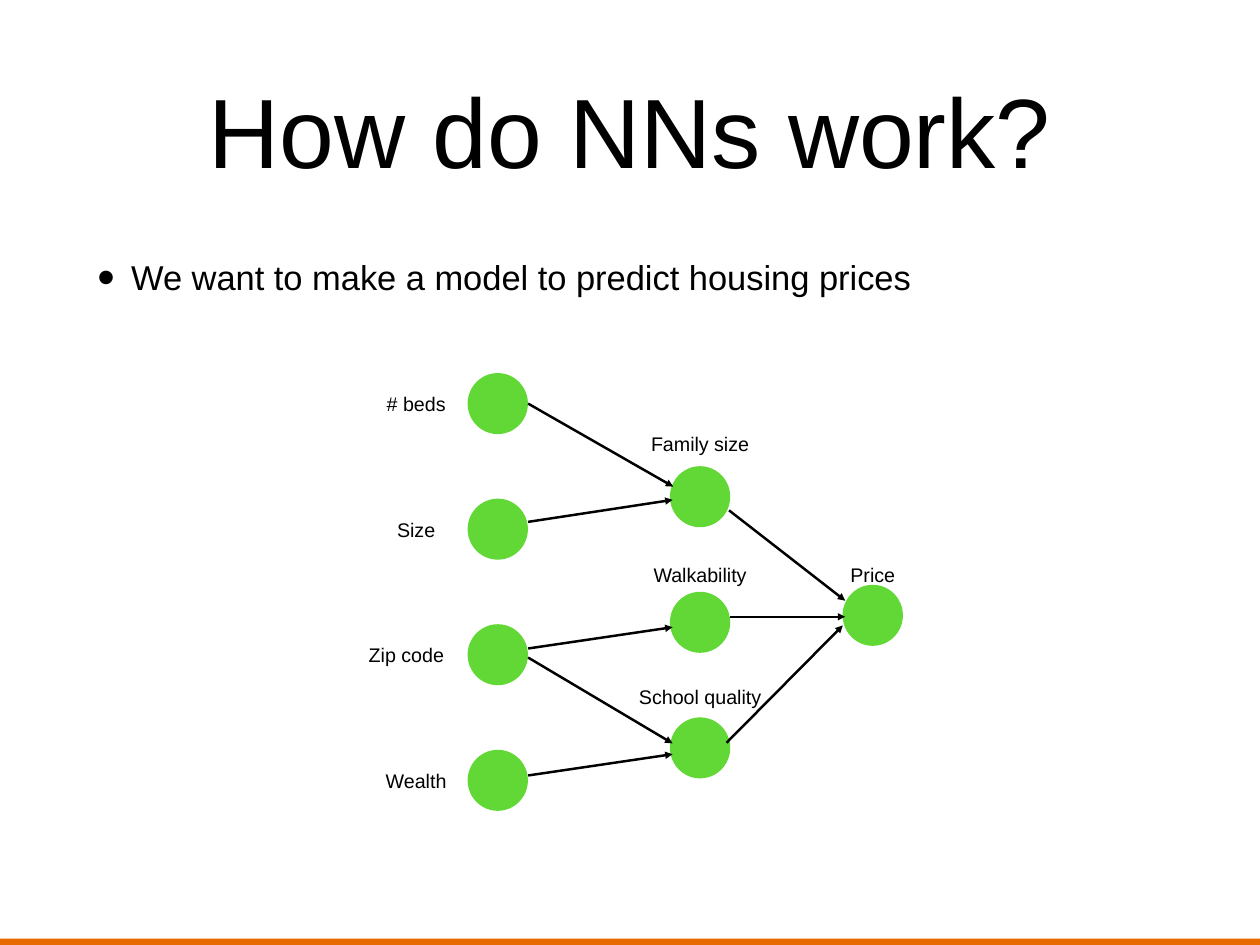
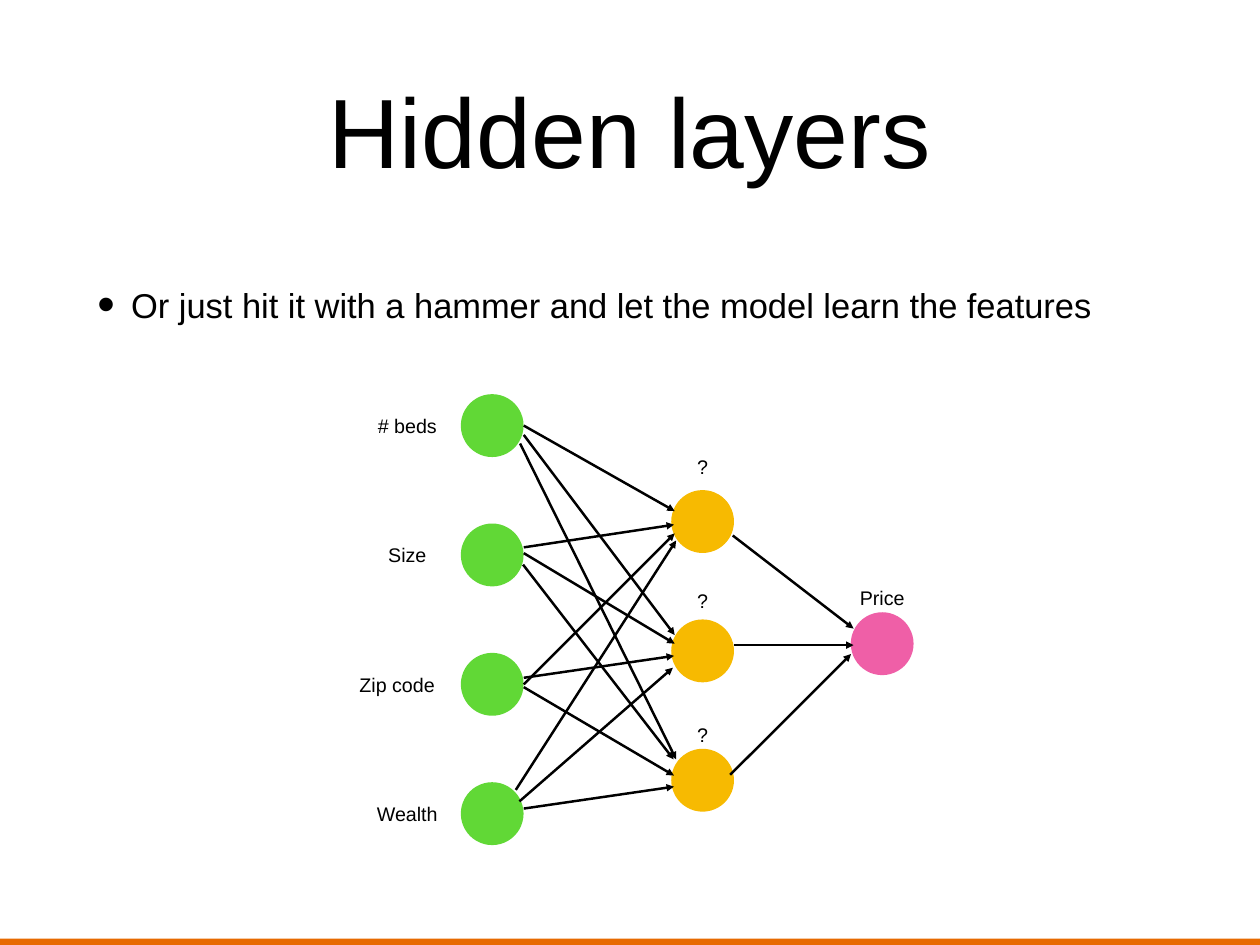
from dataclasses import dataclass
from typing import NamedTuple

from lxml import etree
from pptx import Presentation
from pptx.dml.color import RGBColor
from pptx.enum.shapes import MSO_CONNECTOR, MSO_SHAPE
from pptx.enum.text import MSO_ANCHOR, MSO_AUTO_SIZE, PP_ALIGN
from pptx.oxml.ns import qn
from pptx.util import Cm, Pt

RECT, OVAL = MSO_SHAPE.RECTANGLE, MSO_SHAPE.OVAL
STRAIGHT = MSO_CONNECTOR.STRAIGHT
TOP, MIDDLE = MSO_ANCHOR.TOP, MSO_ANCHOR.MIDDLE
LEFT, CENTER = PP_ALIGN.LEFT, PP_ALIGN.CENTER
NO_FIT = MSO_AUTO_SIZE.NONE


@dataclass(frozen=True)
class Theme:
    font: str = "Arial"
    black: RGBColor = RGBColor(0x00, 0x00, 0x00)
    band: RGBColor = RGBColor(0xE7, 0x6A, 0x01)
    green: RGBColor = RGBColor(0x61, 0xD8, 0x36)
    amber: RGBColor = RGBColor(0xF7, 0xBA, 0x01)
    pink: RGBColor = RGBColor(0xEF, 0x5F, 0xA7)
    title_size: int = 80
    body_size: int = 28
    label_size: int = 16
    line_width: int = 2


THEME = Theme()

# All lengths below are in centimetres.
SLIDE_W, SLIDE_H = 36.12, 27.09
BAND_H = 0.18
MARGIN, CONTENT_W = 2.64, 30.84
TITLE_TOP, TITLE_H = 0.71, 5.99
BODY_TOP = 7.19
INSET = 0.15
BULLET_INDENT = 0.97
BULLET_PERCENT = 145

NODE_W, NODE_H = 1.73, 1.75
LABEL_H = 1.07
ROW_PITCH = 3.6
HIDDEN_X, HIDDEN_Y = 5.8, 2.67
OUTPUT_X, OUTPUT_Y = 10.75, 6.07


class Label(NamedTuple):
    """Text beside a node, centred at an offset from the node's centre."""
    text: str
    width: float
    dx: float
    dy: float


class Arrow(NamedTuple):
    """Arrow between two nodes; start and end are offsets from their centres."""
    source: str
    target: str
    start: tuple[float, float]
    end: tuple[float, float]


@dataclass(frozen=True)
class Diagram:
    left: float
    top: float
    scale_x: float
    scale_y: float
    hidden_color: RGBColor
    output_color: RGBColor
    labels: dict[str, Label]
    arrows: list[Arrow]

    def place(self, x: float, y: float) -> tuple[float, float]:
        return self.left + x * self.scale_x, self.top + y * self.scale_y


@dataclass(frozen=True)
class SlideContent:
    title: str
    bullet: str
    body_height: float
    body_anchor: MSO_ANCHOR
    diagram: Diagram


CENTERS = {
    **{f"in{i}": (0.0, i * ROW_PITCH) for i in range(4)},
    **{f"hid{i}": (HIDDEN_X, HIDDEN_Y + i * ROW_PITCH) for i in range(3)},
    "out": (OUTPUT_X, OUTPUT_Y),
}

INPUT_LABELS = {
    "in0": Label("# beds", 2.39, -2.34, 0),
    "in1": Label("Size", 1.63, -2.34, 0),
    "in2": Label("Zip code", 3.0, -2.62, 0),
    "in3": Label("Wealth", 2.41, -2.34, 0),
}

FEATURE_ARROWS = [
    Arrow("in0", "hid0", (0.87, 0), (-0.77, -0.29)),
    Arrow("in1", "hid0", (0.87, -0.21), (-0.79, 0.09)),
    Arrow("in2", "hid1", (0.87, -0.18), (-0.79, 0.14)),
    Arrow("in3", "hid2", (0.87, -0.14), (-0.79, 0.18)),
    Arrow("in2", "hid2", (0.87, 0.08), (-0.79, -0.13)),
    Arrow("hid2", "out", (0.76, -0.15), (-0.86, 0.29)),
    Arrow("hid1", "out", (0.86, -0.16), (-0.79, 0.04)),
    Arrow("hid0", "out", (0.83, 0.39), (-0.79, -0.42)),
]

REMAINING_ARROWS = [
    Arrow("in1", "hid1", (0.87, -0.05), (-0.77, -0.2)),
    Arrow("in2", "hid0", (0.87, 0), (-0.77, 0.33)),
    Arrow("in3", "hid0", (0.65, -0.66), (-0.73, 0.53)),
    Arrow("in0", "hid1", (0.87, 0.26), (-0.77, -0.44)),
    Arrow("in0", "hid2", (0.77, 0.5), (-0.73, -0.58)),
    Arrow("in1", "hid2", (0.85, 0.27), (-0.8, -0.58)),
    Arrow("in3", "hid1", (0.75, -0.34), (-0.82, 0.47)),
]

FEATURES = Diagram(
    14.27, 11.57, 1, 1, THEME.green, THEME.green,
    INPUT_LABELS | {
        "hid0": Label("Family size", 3.66, 0, -1.51),
        "hid1": Label("Walkability", 3.58, 0, -1.38),
        "hid2": Label("School quality", 4.6, 0, -1.46),
        "out": Label("Price", 1.88, 0, -1.18),
    },
    FEATURE_ARROWS,
)

HIDDEN_LAYER = Diagram(
    14.11, 12.2, 1.04, 1.03, THEME.amber, THEME.pink,
    INPUT_LABELS | {
        **{f"hid{i}": Label("?", 0.73, 0, -1.52 + 0.13 * i) for i in range(3)},
        "out": Label("Price", 1.88, 0, -1.27),
    },
    FEATURE_ARROWS + REMAINING_ARROWS,
)

SLIDES = [
    SlideContent("How do NNs work?",
                 "We want to make a model to predict housing prices",
                 4.29, TOP, FEATURES),
    SlideContent("Hidden layers",
                 "Or just hit it with a hammer and let the model learn the features",
                 3.07, MIDDLE, HIDDEN_LAYER),
]


def set_all(target, values: dict) -> None:
    for name, value in values.items():
        setattr(target, name, value)


def write(sp, text: str, size: int, align: PP_ALIGN, anchor: MSO_ANCHOR,
          wrap: bool = True, bullet: bool = False) -> None:
    tf = sp.text_frame
    set_all(tf, {"word_wrap": wrap, "auto_size": NO_FIT, "vertical_anchor": anchor})
    set_all(tf, dict.fromkeys(
        ("margin_left", "margin_top", "margin_right", "margin_bottom"), Cm(INSET)))
    p = tf.paragraphs[0]
    if bullet:
        add_bullet(p)
    set_all(p, {"alignment": align, "space_before": Pt(0)})
    r = p.add_run()
    r.text = text
    set_all(r.font, {"name": THEME.font, "size": Pt(size)})
    r.font.color.rgb = THEME.black


def add_bullet(p) -> None:
    props = p._p.get_or_add_pPr()
    props.set("marL", str(Cm(BULLET_INDENT)))
    props.set("indent", str(-Cm(BULLET_INDENT)))
    for tag, key, value in (("a:buSzPct", "val", str(BULLET_PERCENT * 1000)),
                            ("a:buFont", "typeface", THEME.font),
                            ("a:buChar", "char", "•")):
        etree.SubElement(props, qn(tag)).set(key, value)


def move(sp, left: float, top: float, width: float, height: float) -> None:
    set_all(sp, {"left": Cm(left), "top": Cm(top),
                 "width": Cm(width), "height": Cm(height)})


def add_filled(slide, kind: MSO_SHAPE, left: float, top: float,
               width: float, height: float, color: RGBColor):
    sp = slide.shapes.add_shape(kind, Cm(left), Cm(top), Cm(width), Cm(height))
    sp.shadow.inherit = False
    sp.fill.solid()
    sp.fill.fore_color.rgb = color
    sp.line.fill.background()
    return sp


def add_arrow(slide, start: tuple[float, float], end: tuple[float, float]) -> None:
    line = slide.shapes.add_connector(STRAIGHT, *map(Cm, start + end))
    line.line.color.rgb = THEME.black
    line.line.width = Pt(THEME.line_width)
    props = line.element.spPr
    etree.SubElement(props.find(qn("a:ln")), qn("a:tailEnd")).set("type", "triangle")
    etree.SubElement(props, qn("a:effectLst"))


def add_label(slide, diagram: Diagram, node: str, label: Label) -> None:
    node_x, node_y = CENTERS[node]
    x, y = diagram.place(node_x + label.dx, node_y + label.dy)
    width, height = label.width * diagram.scale_x, LABEL_H * diagram.scale_y
    sp = slide.shapes.add_textbox(Cm(x - width / 2), Cm(y - height / 2),
                                  Cm(width), Cm(height))
    write(sp, label.text, THEME.label_size, CENTER, MIDDLE, wrap=False)


def draw_diagram(slide, diagram: Diagram) -> None:
    width, height = NODE_W * diagram.scale_x, NODE_H * diagram.scale_y
    colors = {"in": THEME.green, "hid": diagram.hidden_color,
              "out": diagram.output_color}
    for node, center in CENTERS.items():
        x, y = diagram.place(*center)
        add_filled(slide, OVAL, x - width / 2, y - height / 2, width, height,
                   colors[node.rstrip("0123")])
    for arrow in diagram.arrows:
        ends = [diagram.place(CENTERS[node][0] + dx, CENTERS[node][1] + dy)
                for node, (dx, dy) in ((arrow.source, arrow.start),
                                       (arrow.target, arrow.end))]
        add_arrow(slide, *ends)
    for node, label in diagram.labels.items():
        add_label(slide, diagram, node, label)


def add_slide(prs, layout, content: SlideContent):
    slide = prs.slides.add_slide(layout)
    title, body = slide.placeholders
    move(title, MARGIN, TITLE_TOP, CONTENT_W, TITLE_H)
    write(title, content.title, THEME.title_size, CENTER, MIDDLE)
    move(body, MARGIN, BODY_TOP, CONTENT_W, content.body_height)
    write(body, content.bullet, THEME.body_size, LEFT, content.body_anchor, bullet=True)
    draw_diagram(slide, content.diagram)
    return slide


def main() -> None:
    prs = Presentation()
    prs.slide_width, prs.slide_height = Cm(SLIDE_W), Cm(SLIDE_H)
    layout = prs.slide_layouts[1]
    slides = [add_slide(prs, layout, content) for content in SLIDES]
    # The band moves to the master, so every slide shows it.
    band = add_filled(slides[0], RECT, 0, SLIDE_H - BAND_H, SLIDE_W, BAND_H, THEME.band)
    prs.slide_master.shapes.element.append(band.element)
    prs.save("out.pptx")


if __name__ == "__main__":
    main()
